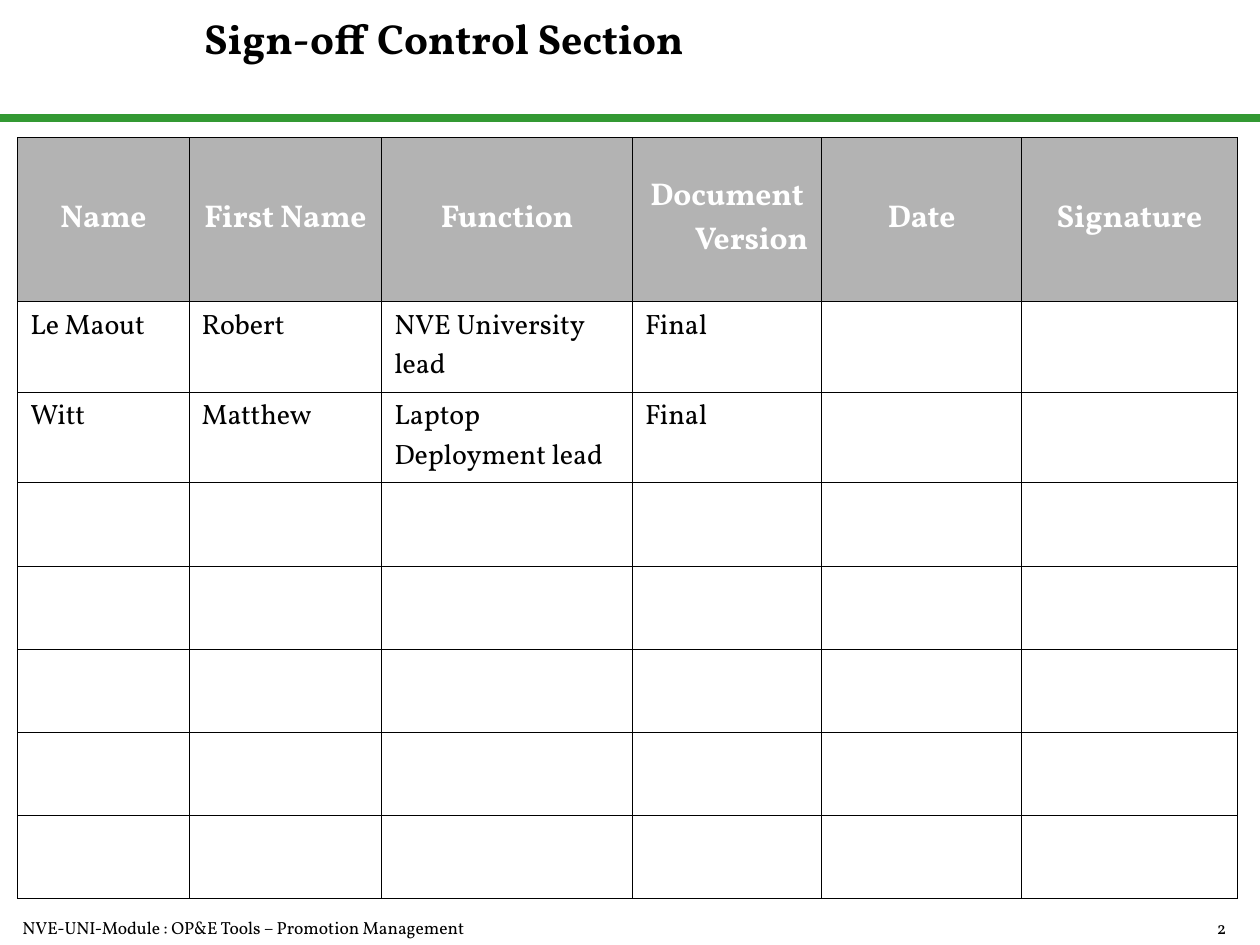
from dataclasses import dataclass

from pptx import Presentation
from pptx.dml.color import RGBColor
from pptx.enum.shapes import MSO_CONNECTOR as CONN
from pptx.enum.text import MSO_ANCHOR as ANCHOR, MSO_AUTO_SIZE as AUTO, PP_ALIGN as ALIGN
from pptx.oxml import parse_xml
from pptx.oxml.ns import nsdecls
from pptx.util import Emu, Inches, Pt

BLACK = RGBColor(0x00, 0x00, 0x00)
WHITE = RGBColor(0xFF, 0xFF, 0xFF)
GREEN = RGBColor(0x33, 0x99, 0x33)
GREY = RGBColor(0xB3, 0xB3, 0xB3)
FONT = "Vollkorn"
W, H = Inches(10), Inches(7.5)

# Column widths in inches, header row height and body row height
COLS = [1.36, 1.53, 1.99, 1.5, 1.59, 1.71]
HEADER_H, BODY_H, BODY_ROWS = 1.3, 0.66, 7
HEADERS = ["Name", "First Name", "Function", "Document Version", "Date", "Signature"]
PEOPLE = [
    ["Le Maout", "Robert", "NVE University lead", "Final"],
    ["Witt", "Matthew", "Laptop Deployment lead", "Final"],
]


@dataclass
class Style:
    size: float
    color: RGBColor = BLACK
    bold: bool = False
    align: ALIGN = ALIGN.LEFT
    before: float = 0


@dataclass
class Note:
    """A footer text, placed by shares of the slide's size."""
    text: str
    left: float
    top: float
    width: float
    height: float
    style: Style


TITLE = Style(24, bold=True)
HEAD = Style(18, WHITE, True, ALIGN.CENTER)
BODY = Style(16, before=4)
NOTES = [
    Note("2", 0.875, 0.964, 0.108, 0.038, Style(10, align=ALIGN.RIGHT, before=6.2)),
    Note("NVE-UNI-Module : OP&E Tools – Promotion Management",
         0.008, 0.964, 0.516, 0.036, Style(10, before=6.2)),
]


def write(tf, text: str, style: Style):
    p = tf.paragraphs[0]
    p.alignment, p.space_before = style.align, Pt(style.before)
    r = p.add_run()
    r.text = text
    font = {"name": FONT, "size": Pt(style.size), "bold": style.bold}
    for key, value in font.items():
        setattr(r.font, key, value)
    r.font.color.rgb = style.color
    return p


def set_frame(tf) -> None:
    frame = {"word_wrap": True, "auto_size": AUTO.NONE, "vertical_anchor": ANCHOR.TOP,
             "margin_left": Inches(0.1), "margin_right": Inches(0.1),
             "margin_top": Inches(0.05), "margin_bottom": Inches(0.05)}
    for key, value in frame.items():
        setattr(tf, key, value)


def add_note(s, note: Note) -> None:
    sp = s.shapes.add_textbox(Emu(int(note.left * W)), Emu(int(note.top * H)),
                              Emu(int(note.width * W)), Emu(int(note.height * H)))
    set_frame(sp.text_frame)
    write(sp.text_frame, note.text, note.style)


def add_rule(s, share: float) -> None:
    y = Emu(int(share * H))
    line = s.shapes.add_connector(CONN.STRAIGHT, 0, y, W, y)
    line.line.color.rgb, line.line.width = GREEN, Pt(4.5)
    line._element.spPr.append(parse_xml(f"<a:effectLst {nsdecls('a')}/>"))


def set_borders(cell) -> None:
    tc_pr = cell._tc.get_or_add_tcPr()
    for side in ("lnL", "lnR", "lnT", "lnB"):
        tc_pr.append(parse_xml(
            f'<a:{side} {nsdecls("a")} w="{Pt(0.45)}"><a:solidFill>'
            f'<a:srgbClr val="{BLACK}"/></a:solidFill></a:{side}>'))


def add_sign_off_table(s) -> None:
    heights = [HEADER_H] + [BODY_H] * BODY_ROWS
    table = s.shapes.add_table(len(heights), len(COLS), Inches(0.14), Inches(1.09),
                               Inches(sum(COLS)), Inches(sum(heights))).table
    table.first_row = table.horz_banding = False
    for col, width in zip(table.columns, COLS):
        col.width = Inches(width)
    for row, height in zip(table.rows, heights):
        row.height = Inches(height)
    for cell in table.iter_cells():
        set_borders(cell)
        cell.fill.background()

    # Header cells have a hanging indent
    for cell, text in zip(table.rows[0].cells, HEADERS):
        cell.fill.solid()
        cell.fill.fore_color.rgb = GREY
        cell.vertical_anchor = ANCHOR.MIDDLE
        p_pr = write(cell.text_frame, text, HEAD)._p.get_or_add_pPr()
        p_pr.set("marL", str(Inches(0.39)))
        p_pr.set("indent", str(Inches(-0.39)))

    for r, person in enumerate(PEOPLE, start=1):
        for c, text in enumerate(person):
            write(table.cell(r, c).text_frame, text, BODY)


def main() -> None:
    prs = Presentation()
    prs.slide_width, prs.slide_height = W, H
    s = prs.slides.add_slide(prs.slide_layouts[5])

    # Title
    title = s.shapes.title
    place = {"left": 1.52, "top": 0.05, "width": 7.65, "height": 0.7}
    for key, value in place.items():
        setattr(title, key, Inches(value))
    set_frame(title.text_frame)
    write(title.text_frame, "Sign-off Control Section", TITLE)

    # Rule, footer and table
    add_rule(s, 0.125)
    for note in NOTES:
        add_note(s, note)
    add_sign_off_table(s)
    prs.save("out.pptx")


if __name__ == "__main__":
    main()
